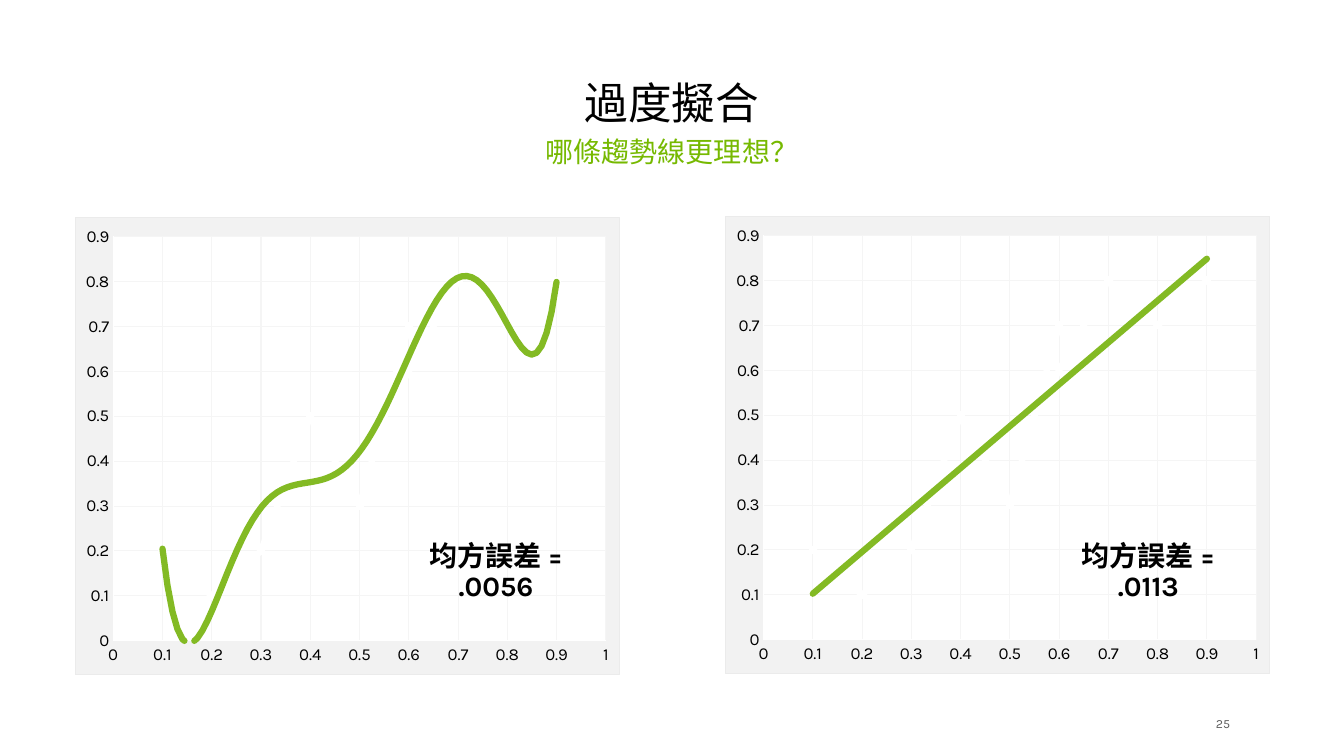
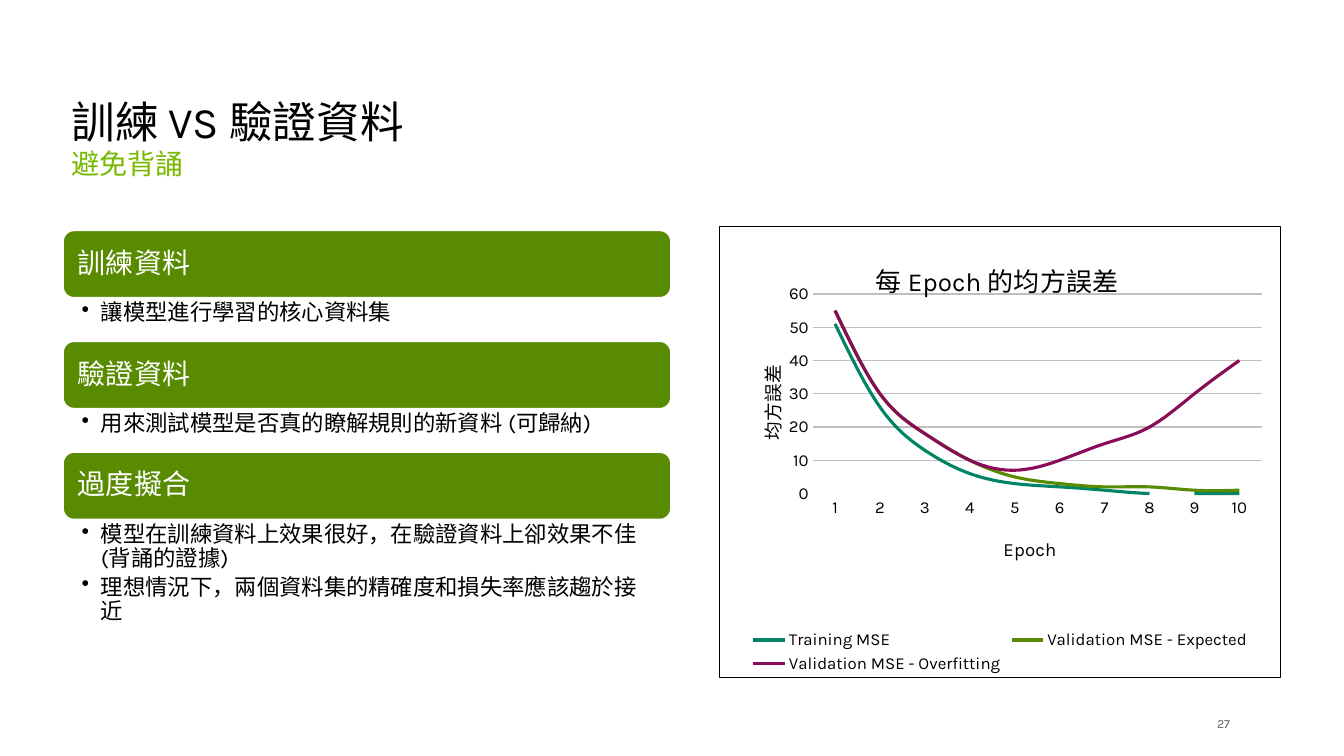
"""Build two slides on overfitting and on training versus validation data."""
from lxml import etree
from pptx import Presentation
from pptx import util as u
from pptx.chart import data
from pptx.dml.color import RGBColor
from pptx.enum import chart as ch, shapes, text
from pptx.oxml import parse_xml
from pptx.oxml.ns import nsdecls, qn

FONT = "Karla"
COLOURS = {
    "ink": "000000", "paper": "FFFFFF", "accent": "76B900", "band": "598B00",
    "number": "5E5E5E", "panel": "F2F2F2", "edge": "EBEBEB", "grid": "F5F5F5",
    "rule": "BFBFBF", "trend": "83BA24", "teal": "008564", "plum": "890C58",
}
SLIDE_W, SLIDE_H = 13.33, 7.5
LEFT = 0.61

POINTS = [(0.1, 0.2), (0.2, 0.1), (0.3, 0.2), (0.4, 0.5), (0.5, 0.3),
          (0.6, 0.7), (0.55, 0.5), (0.7, 0.8), (0.8, 0.7), (0.9, 0.8)]
FITS = [
    {"at": (0.74, 2.15), "kind": "poly", "error": "均方誤差 = .0056", "error_x": 4},
    {"at": (7.19, 2.14), "kind": "linear", "error": "均方誤差 = .0113", "error_x": 10.47},
]
SECTIONS = [
    ("訓練資料", ["讓模型進行學習的核心資料集"], 0.42),
    ("驗證資料", ["用來測試模型是否真的瞭解規則的新資料 (可歸納)"], 0.42),
    ("過度擬合", ["模型在訓練資料上效果很好，在驗證資料上卻效果不佳 (背誦的證據)",
              "理想情況下，兩個資料集的精確度和損失率應該趨於接近"], 1.54),
]
LOSSES = [
    ("Training MSE", "teal", [51, 26, 13, 6, 3, 2, 1, 0, 0, 0]),
    ("Validation MSE - Expected", "band", [55, 30, 18, 10, 5, 3, 2, 2, 1, 1]),
    ("Validation MSE - Overfitting", "plum", [55, 30, 18, 10, 7, 10, 15, 20, 30, 40]),
]


def rgb(name):
    return RGBColor.from_string(COLOURS[name])


def box(left, top, width, height):
    return [u.Inches(v) for v in (left, top, width, height)]


def set_font(font, size, colour="ink", bold=False):
    font.name, font.size, font.bold = FONT, u.Pt(size), bold
    font.color.rgb = rgb(colour)


def set_line(line, colour, width):
    line.color.rgb = rgb(colour)
    line.width = u.Pt(width)


def write(frame, lines, size, colour="ink", bold=False, align="LEFT", anchor="TOP",
          insets=(0.1, 0.05, 0.1, 0.05), after=0, bullet=None):
    frame.word_wrap = True
    frame.auto_size = text.MSO_AUTO_SIZE.NONE
    frame.vertical_anchor = getattr(text.MSO_ANCHOR, anchor)
    (frame.margin_left, frame.margin_top,
     frame.margin_right, frame.margin_bottom) = box(*insets)
    frame.text = "\n".join(lines)
    for paragraph in frame.paragraphs:
        props = paragraph._p.get_or_add_pPr()
        indent = u.Inches(0.19) if bullet else 0
        props.set("marL", str(indent))
        props.set("indent", str(-indent))
        paragraph.alignment = getattr(text.PP_ALIGN, align)
        paragraph.line_spacing = 0.9
        paragraph.space_before, paragraph.space_after = u.Pt(0), u.Pt(after)
        if bullet:
            etree.SubElement(props, qn("a:buChar")).set("char", bullet)
        else:
            etree.SubElement(props, qn("a:buNone"))
        for run in paragraph.runs:
            set_font(run.font, size, colour, bold)


def add_text(slide, place, lines, size, **style):
    shape = slide.shapes.add_textbox(*box(*place))
    write(shape.text_frame, lines, size, **style)
    return shape


def start_slide(deck, heading, subheading, number, top, sub_top, width, align):
    slide = deck.slides.add_slide(deck.slide_layouts[1])
    title, subtitle = slide.shapes.title, slide.placeholders[1]
    for holder, place in ((title, (LEFT, top, width, 0.73)),
                          (subtitle, (LEFT, sub_top, width, 0.64))):
        holder.left, holder.top, holder.width, holder.height = box(*place)
    write(title.text_frame, [heading], 31.1, align=align, anchor="BOTTOM")
    write(subtitle.text_frame, [subheading], 20, colour="accent", align=align)
    add_text(slide, (11.81, 7.09, 0.39, 0.2), [number], 8.9, colour="number",
             align="RIGHT", anchor="MIDDLE", insets=(0, 0, 0, 0))
    return slide


def set_layout(element, x, y, w=None, h=None):
    for old in element.findall(qn("c:layout")):
        element.remove(old)
    parts = [("xMode", "edge"), ("yMode", "edge"), ("x", x), ("y", y)]
    if w:
        parts = [("layoutTarget", "inner")] + parts + [("w", w), ("h", h)]
    body = "".join(f'<c:{tag} val="{value}"/>' for tag, value in parts)
    layout = parse_xml(f'<c:layout {nsdecls("c")}><c:manualLayout>{body}'
                       '</c:manualLayout></c:layout>')
    element.insert(0 if element.find(qn("c:tx")) is None else 1, layout)


def line_xml(colour, width):
    return (f'<a:ln w="{u.Pt(width)}" cap="rnd"><a:solidFill>'
            f'<a:srgbClr val="{COLOURS[colour]}"/></a:solidFill><a:round/></a:ln>')


def area(fill, border=None):
    edge = line_xml(border, 0.75) if border else "<a:ln><a:noFill/></a:ln>"
    return parse_xml(f'<c:spPr {nsdecls("c", "a")}><a:solidFill>'
                     f'<a:srgbClr val="{COLOURS[fill]}"/></a:solidFill>{edge}</c:spPr>')


def add_chart(slide, kind, place, values, fill, border, plot):
    chart = slide.shapes.add_chart(kind, *box(*place), values).chart
    set_font(chart.font, 10)
    space = chart._chartSpace
    space.find(qn("c:txPr")).addprevious(area(fill, border))
    plot_area = space.chart.plotArea
    set_layout(plot_area, *plot)
    plot_area.append(area("paper"))
    chart.has_title = chart.has_legend = False
    return chart


def set_axis(axis, grid=None, scale=None, line="paper"):
    axis.major_tick_mark = axis.minor_tick_mark = ch.XL_TICK_MARK.NONE
    set_font(axis.tick_labels.font, 12)
    axis.has_major_gridlines = bool(grid)
    if grid:
        set_line(axis.major_gridlines.format.line, grid, 0.75)
    if line:
        set_line(axis.format.line, line, 0.75)
    else:
        axis.format.line.fill.background()
    if scale:
        axis.minimum_scale, axis.maximum_scale, axis.major_unit = scale


def set_title(title, words, size, x, y, rotation=0):
    frame = title.text_frame
    frame.text = words
    set_font(frame.paragraphs[0].runs[0].font, size)
    frame._txBody.find(qn("a:bodyPr")).set("rot", str(rotation * 60000))
    set_layout(title._element, x, y)


def add_trend(series, kind):
    order = '<c:order val="6"/>' if kind == "poly" else ""
    trend = parse_xml(
        f'<c:trendline {nsdecls("c", "a")}><c:spPr>{line_xml("trend", 4.5)}</c:spPr>'
        f'<c:trendlineType val="{kind}"/>{order}<c:dispRSqr val="0"/>'
        '<c:dispEq val="0"/></c:trendline>')
    series._element.find(qn("c:xVal")).addprevious(trend)


def add_fit(slide, fit):
    values = data.XyChartData()
    points = values.add_series("Series 1")
    for x, y in POINTS:
        points.add_data_point(x, y)
    chart = add_chart(slide, ch.XL_CHART_TYPE.XY_SCATTER_LINES, (*fit["at"], 5.41, 4.55),
                      values, "panel", "edge", (0.07, 0.042, 0.905, 0.884))
    set_axis(chart.category_axis, "grid", (0, 1, 0.1))
    set_axis(chart.value_axis, "grid", (0, 0.9, 0.1))
    series = chart.plots[0].series[0]
    series.smooth = False
    set_line(series.format.line, "paper", 4.5)
    series.marker.style, series.marker.size = ch.XL_MARKER_STYLE.CIRCLE, 5
    series.marker.format.fill.solid()
    series.marker.format.fill.fore_color.rgb = rgb("paper")
    set_line(series.marker.format.line, "paper", 0.75)
    add_trend(series, fit["kind"])
    error = add_text(slide, (fit["error_x"], 5.32, 1.84, 0.71), [fit["error"]], 20,
                     bold=True, align="CENTER", anchor="MIDDLE")
    error.text_frame.auto_size = text.MSO_AUTO_SIZE.SHAPE_TO_FIT_TEXT


def add_sections(slide):
    left, top, width, band_height = 0.62, 2.28, 6.04, 0.68
    for heading, bullets, height in SECTIONS:
        band = slide.shapes.add_shape(shapes.MSO_SHAPE.ROUNDED_RECTANGLE,
                                      *box(left, top, width, band_height))
        band.shadow.inherit = False
        band.fill.solid()
        band.fill.fore_color.rgb = rgb("band")
        set_line(band.line, "paper", 2)
        write(band.text_frame, [heading], 20, colour="paper", anchor="MIDDLE",
              insets=(0.12, 0.08, 0.12, 0.08))
        add_text(slide, (left, top + band_height, width, height), bullets, 16,
                 insets=(0.19, 0.03, 0.16, 0.03), after=3.2, bullet="•")
        top += band_height + height


def add_losses(slide):
    values = data.CategoryChartData()
    values.categories = [str(epoch) for epoch in range(1, 11)]
    for name, _, losses in LOSSES:
        values.add_series(name, losses)
    chart = add_chart(slide, ch.XL_CHART_TYPE.LINE, (7.13, 2.24, 5.58, 4.49),
                      values, "paper", "ink", (0.166, 0.15, 0.8, 0.442))
    set_axis(chart.category_axis)
    set_axis(chart.value_axis, "rule", (0, 60, 10), line=None)
    for series, (_, colour, _) in zip(chart.plots[0].series, LOSSES):
        series.smooth = True
        series.marker.style = ch.XL_MARKER_STYLE.NONE
        set_line(series.format.line, colour, 2.25)
    chart.has_title = True
    set_title(chart.chart_title, "每 Epoch 的均方誤差", 18.6, 0.27, 0.06)
    set_title(chart.category_axis.axis_title, "Epoch", 13.3, 0.5, 0.68)
    set_title(chart.value_axis.axis_title, "均方誤差", 13.3, 0.06, 0.3, rotation=-90)
    chart.has_legend = True
    chart.legend.position = ch.XL_LEGEND_POSITION.BOTTOM
    chart.legend.include_in_layout = False
    set_font(chart.legend.font, 12)


def main():
    deck = Presentation()
    deck.slide_width, deck.slide_height = u.Inches(SLIDE_W), u.Inches(SLIDE_H)
    overfitting = start_slide(deck, "過度擬合", "哪條趨勢線更理想？", "25",
                              0.6, 1.32, SLIDE_W - 2 * LEFT, "CENTER")
    for fit in FITS:
        add_fit(overfitting, fit)
    validation = start_slide(deck, "訓練 VS 驗證資料", "避免背誦", "27",
                             0.79, 1.44, 7.2, "LEFT")
    add_sections(validation)
    add_losses(validation)
    deck.save("out.pptx")


if __name__ == "__main__":
    main()
